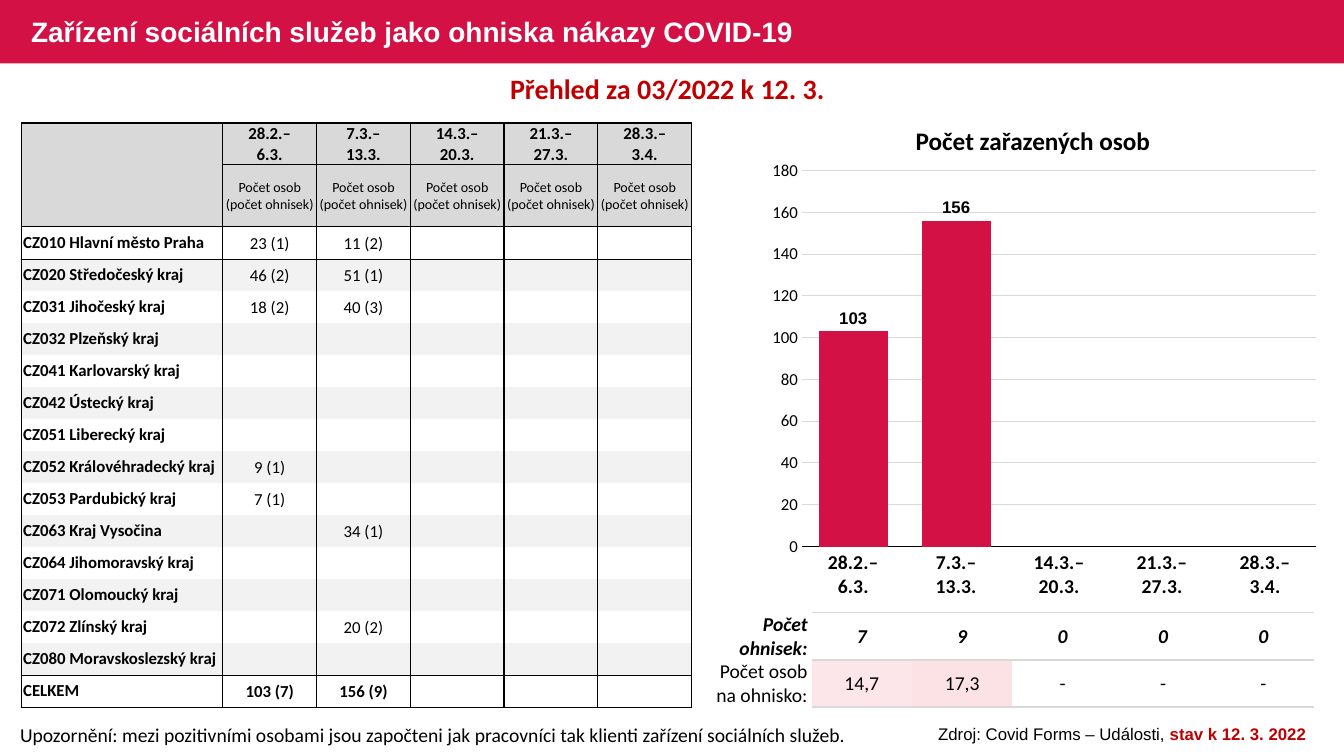
from copy import deepcopy
from dataclasses import dataclass
from lxml.etree import SubElement
from pptx import Presentation
from pptx.chart.data import CategoryChartData
from pptx.dml.color import RGBColor
from pptx.enum.chart import XL_CHART_TYPE, XL_LABEL_POSITION, XL_TICK_MARK
from pptx.enum.shapes import MSO_SHAPE
from pptx.enum.text import MSO_ANCHOR, PP_ALIGN
from pptx.oxml import parse_xml
from pptx.oxml.ns import nsdecls, qn
from pptx.util import Inches, Pt


@dataclass(frozen=True)
class Theme:
    brand: str = "D31145"
    accent: str = "C00000"
    ink: str = "000000"
    paper: str = "FFFFFF"
    header: str = "D9D9D9"
    band: str = "F2F2F2"
    grid: str = "D9D9D9"
    heat: tuple = ("FCE6E9", "FCE2E4")
    body: str = "Calibri"
    display: str = "Arial"
    title: int = 20
    heading: int = 18
    text: int = 14
    small: int = 12
    tiny: int = 10


T = Theme()
LEFT, CENTER, RIGHT = PP_ALIGN.LEFT, PP_ALIGN.CENTER, PP_ALIGN.RIGHT
NO_STYLE = "{2D5ABB26-0587-4C30-8999-92F81FD0307C}"
WEEKS = ["28.2.–\n6.3.", "7.3.–\n13.3.", "14.3.–\n20.3.", "21.3.–\n27.3.", "28.3.–\n3.4."]
REGIONS = {
    "CZ010 Hlavní město Praha": ("23 (1)", "11 (2)"),
    "CZ020 Středočeský kraj": ("46 (2)", "51 (1)"),
    "CZ031 Jihočeský kraj": ("18 (2)", "40 (3)"),
    "CZ032 Plzeňský kraj": ("", ""),
    "CZ041 Karlovarský kraj": ("", ""),
    "CZ042 Ústecký kraj": ("", ""),
    "CZ051 Liberecký kraj": ("", ""),
    "CZ052 Královéhradecký kraj": ("9 (1)", ""),
    "CZ053 Pardubický kraj": ("7 (1)", ""),
    "CZ063 Kraj Vysočina": ("", "34 (1)"),
    "CZ064 Jihomoravský kraj": ("", ""),
    "CZ071 Olomoucký kraj": ("", ""),
    "CZ072 Zlínský kraj": ("", "20 (2)"),
    "CZ080 Moravskoslezský kraj": ("", ""),
    "CELKEM": ("103 (7)", "156 (9)"),
}


def rgb(color):
    return RGBColor.from_string(color)


def put(target, values):
    for name, value in values.items():
        setattr(target, name, value)


def style(font, size, color=T.ink, name=T.body, bold=False, italic=False):
    put(font, {"size": Pt(size), "name": name, "bold": bold, "italic": italic})
    font.color.rgb = rgb(color)


class Deck:
    def __init__(self, theme):
        self.theme = theme
        self.prs = Presentation()
        put(self.prs, {"slide_width": Inches(13.33), "slide_height": Inches(7.5)})
        self.s = self.prs.slides.add_slide(self.prs.slide_layouts[6])

    def bar(self, *at):
        sp = self.s.shapes.add_shape(MSO_SHAPE.RECTANGLE, *map(Inches, at))
        sp.shadow.inherit = False
        sp.fill.solid()
        sp.fill.fore_color.rgb = rgb(self.theme.brand)
        sp.line.fill.background()

    def text(self, at, *runs, align=LEFT, anchor=MSO_ANCHOR.TOP, spacing=None):
        tf = self.s.shapes.add_textbox(*map(Inches, at)).text_frame
        put(tf, {"word_wrap": True, "vertical_anchor": anchor})
        p = tf.paragraphs[0]
        put(p, {"alignment": align, "line_spacing": spacing})
        for words, look in runs:
            r = p.add_run()
            r.text = words
            style(r.font, **look)

    def cell(self, cell, text="", align=CENTER, look=None, fill=None, borders=None,
             ins=(0.01, 0.01, 0.01, 0)):
        sides = ("margin_left", "margin_top", "margin_right", "margin_bottom")
        put(cell, dict(zip(sides, map(Inches, ins))))
        cell.vertical_anchor = MSO_ANCHOR.MIDDLE
        tc_pr = cell._tc.get_or_add_tcPr()
        for side in "LRTB":
            color, width = (borders or {}).get(side, (None, 0))
            if color:
                ln = SubElement(tc_pr, qn(f"a:ln{side}"), w=str(Pt(width)))
                SubElement(SubElement(ln, qn("a:solidFill")), qn("a:srgbClr"), val=color)
        if fill:
            cell.fill.solid()
            cell.fill.fore_color.rgb = rgb(fill)
        else:
            cell.fill.background()
        if not text:
            return
        p = cell.text_frame.paragraphs[0]
        put(p, {"text": text, "alignment": align})
        for r in p.runs:
            style(r.font, **look)
        for br in p._p.findall(qn("a:br")):
            br.append(deepcopy(p.runs[0]._r.rPr))

    def table(self, at, cols, rows, cells):
        frame = self.s.shapes.add_table(len(rows), len(cols), *map(Inches, at))
        tbl = frame.table
        put(tbl, {"first_row": False, "horz_banding": False})
        tbl._tbl.tblPr.find(qn("a:tableStyleId")).text = NO_STYLE
        for col, width in zip(tbl.columns, cols):
            col.width = Inches(width)
        for i, height in enumerate(rows):
            tbl.rows[i].height = Inches(height)
            for j, values in enumerate(cells[i]):
                self.cell(tbl.cell(i, j), **values)

    def columns(self, at, cats, values, plot):
        t = self.theme
        data = CategoryChartData()
        data.categories = cats
        data.add_series("Počet zařazených osob", values)
        chart = self.s.shapes.add_chart(XL_CHART_TYPE.COLUMN_CLUSTERED, *map(Inches, at), data).chart
        put(chart, {"has_legend": False, "has_title": False})
        style(chart.font, t.text, name=t.display, bold=True)
        cat, val = chart.category_axis, chart.value_axis
        for axis in (cat, val):
            put(axis, {"major_tick_mark": XL_TICK_MARK.NONE, "minor_tick_mark": XL_TICK_MARK.NONE})
        style(cat.tick_labels.font, t.text, bold=True)
        style(val.tick_labels.font, t.small)
        put(val, {"minimum_scale": 0, "maximum_scale": 180, "major_unit": 20})
        val.format.line.fill.background()
        for line, color in ((cat.format.line, t.ink), (val.major_gridlines.format.line, t.grid)):
            line.color.rgb = rgb(color)
            line.width = Pt(0.75)
        bars = chart.plots[0]
        put(bars, {"gap_width": 50, "vary_by_categories": False, "has_data_labels": True})
        put(bars.data_labels, {"show_value": True, "position": XL_LABEL_POSITION.OUTSIDE_END})
        style(bars.data_labels.font, t.small, name=t.display, bold=True)
        fill = bars.series[0].format.fill
        fill.solid()
        fill.fore_color.rgb = rgb(t.brand)
        area = chart._chartSpace.chart.plotArea
        for old in area.findall(qn("c:layout")):
            area.remove(old)
        x, y, w, h = plot
        area.insert(0, parse_xml(
            f'<c:layout {nsdecls("c")}><c:manualLayout><c:layoutTarget val="inner"/>'
            f'<c:xMode val="edge"/><c:yMode val="edge"/><c:x val="{x}"/><c:y val="{y}"/>'
            f'<c:w val="{w}"/><c:h val="{h}"/></c:manualLayout></c:layout>'))


def region_cells():
    thin, solid = (T.ink, 0.5), (T.ink, 1)
    sides = {"L": solid, "R": solid}
    boxed = sides | {"T": solid, "B": solid}
    week = {"look": {"size": T.small, "bold": True}, "fill": T.header, "borders": boxed}
    unit = {"look": {"size": T.tiny}, "fill": T.header, "borders": boxed | {"B": thin}}
    cells = [
        [{"fill": T.header, "borders": sides | {"T": solid}}] + [week | {"text": w} for w in WEEKS],
        [{"fill": T.header, "borders": sides | {"B": thin}}]
        + [unit | {"text": "Počet osob (počet ohnisek)"}] * len(WEEKS),
    ]
    last = len(REGIONS) - 1
    for i, (region, counts) in enumerate(REGIONS.items()):
        edges = {0: sides | {"T": thin}, last - 1: sides | {"B": solid}, last: boxed}
        base = {"fill": T.band if i % 2 else None, "borders": edges.get(i, sides)}
        name = {"text": region, "align": LEFT, "ins": (0.02, 0, 0.02, 0),
                "look": {"size": T.small, "bold": True}}
        look = {"size": T.small, "bold": i == last}
        padded = counts + ("",) * (len(WEEKS) - len(counts))
        cells.append([base | name] + [base | {"text": c, "look": look} for c in padded])
    return cells


def main():
    d = Deck(T)
    strong = {"size": T.text, "bold": True, "italic": True}
    plain = {"size": T.text}
    d.bar(0, 0, 13.33, 0.63)
    outbreaks = [{"text": v, "look": strong} for v in "79000"]
    ratios = [{"text": v, "look": plain, "fill": f}
              for v, f in zip(("14,7", "17,3", "-", "-", "-"), T.heat + (None,) * 3)]
    d.table((8.05, 6.08, 4.98, 0.93), [4.98 / 5] * 5, [0.93 / 2] * 2, [outbreaks, ratios])
    d.text((0.1, 7.12, 8.52, 0.34), ("Upozornění: mezi pozitivními osobami jsou započteni jak pracovníci "
                                     "tak klienti zařízení sociálních služeb.", plain))
    d.text((0.21, 0.02, 8.13, 0.63),
           ("Zařízení sociálních služeb jako ohniska nákazy COVID-19",
            {"size": T.title, "color": T.paper, "name": T.display, "bold": True}),
           anchor=MSO_ANCHOR.MIDDLE, spacing=0.9)
    d.text((0.21, 0.66, 12.82, 0.44), ("Přehled za 03/2022 k 12. 3.",
           {"size": T.title, "color": T.accent, "bold": True}), align=CENTER)
    source = {"size": T.small, "name": T.display}
    d.text((9.03, 7.13, 4.2, 0.3), ("Zdroj: Covid Forms – Události, ", source),
           ("stav k 12. 3. 2022", source | {"color": T.accent, "bold": True}), align=CENTER)
    n = len(REGIONS)
    d.table((0.21, 1.22, 6.65, 5.8), [2] + [0.93] * 5,
            [0.41, 0.62] + [(5.8 - 0.41 - 0.62) / n] * n, region_cells())
    d.columns((7.56, 1.51, 5.61, 4.55), WEEKS, (103, 156, None, None, None), (0.07, 0.04, 0.91, 0.82))
    d.text((7.56, 1.19, 5.37, 0.4), ("Počet zařazených osob", {"size": T.heading, "bold": True}), align=CENTER)
    rule = {"borders": {"T": (T.grid, 1), "B": (T.grid, 1)}}
    labels = (("Počet ohnisek:", strong), ("Počet osob na ohnisko:", plain))
    d.table((7.04, 6.08, 5.99, 0.93), [1.01] + [4.98 / 7] * 7, [0.93 / 2] * 2,
            [[{"text": text, "align": RIGHT, "look": look, "ins": (0.01, 0, 0.04, 0)}] + [rule] * 7
             for text, look in labels])
    d.prs.save("out.pptx")


if __name__ == "__main__":
    main()
